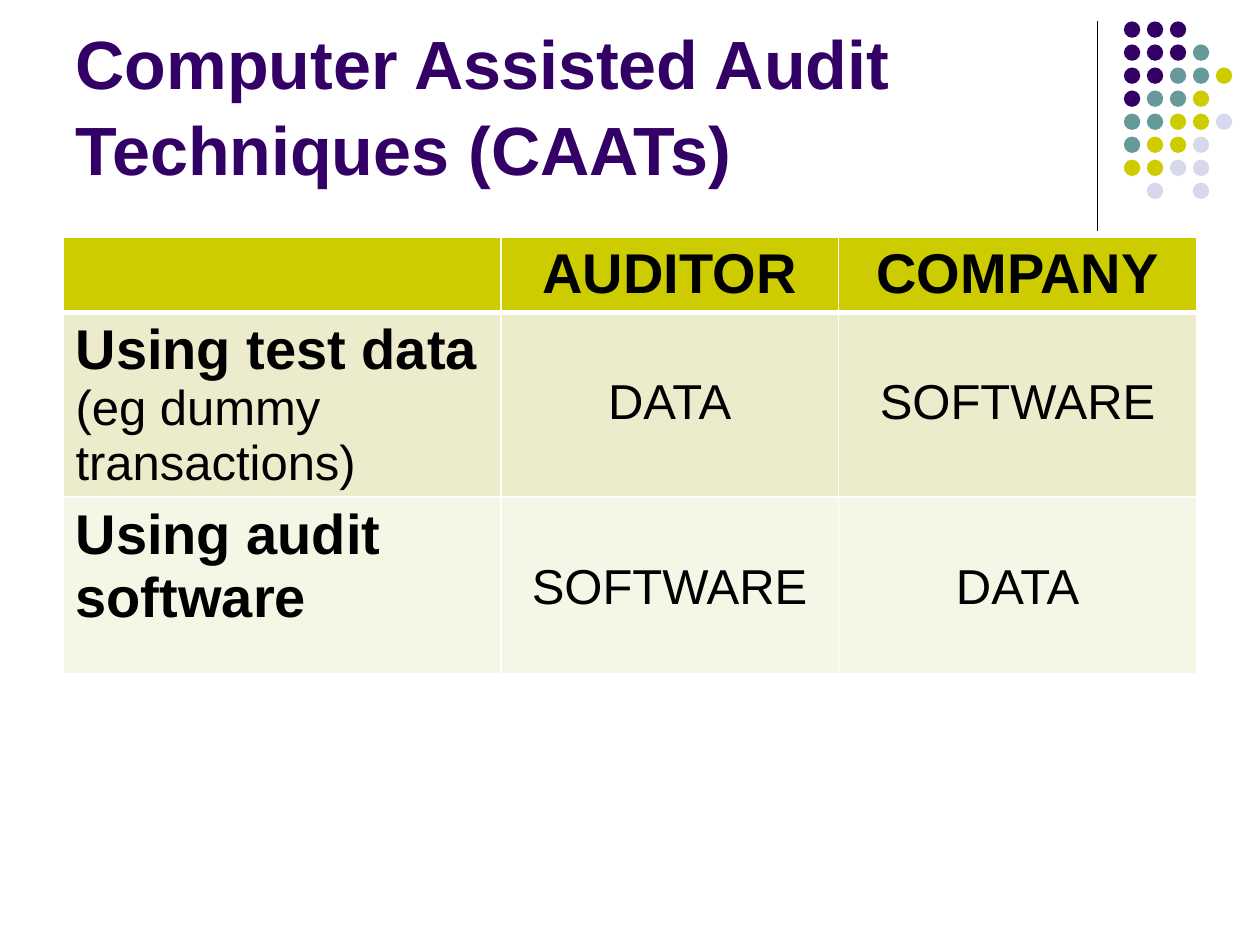
from lxml import etree
from pptx import Presentation, util as u
from pptx.dml.color import RGBColor
from pptx.enum import shapes, text
from pptx.oxml import ns

FONT = "Arial"
BLACK = RGBColor(0x00, 0x00, 0x00)
WHITE = RGBColor(0xFF, 0xFF, 0xFF)
PURPLE = RGBColor(0x33, 0x00, 0x66)
TEAL = RGBColor(0x66, 0x99, 0x99)
LIME = RGBColor(0xCC, 0xCC, 0x00)
LAVENDER = RGBColor(0xD8, 0xD8, 0xEC)
ROW_FILLS = [LIME, RGBColor(0xEC, 0xEC, 0xCC), RGBColor(0xF6, 0xF6, 0xE7)]

# One letter per dot, a blank where the grid is empty
DOT_COLORS = {"P": PURPLE, "T": TEAL, "L": LIME, "V": LAVENDER}
DOT_ROWS = ["PPP", "PPPT", "PPTTL", "PTTL", "TTLLV", "TLLV", "LLVV", " V V"]

# Each cell is a list of (text, size, bold) paragraphs
TABLE_ROWS = [
    [[], [("AUDITOR", 32, True)], [("COMPANY", 32, True)]],
    [[("Using test data", 32, True), ("(eg dummy transactions)", 28, False)],
     [("DATA", 28, False)], [("SOFTWARE", 28, False)]],
    [[("Using audit software", 32, True)],
     [("SOFTWARE", 28, False)], [("DATA", 28, False)]],
]
COLUMN_SHARES = [3.48, 2.68, 2.85]
ROW_SHARES = [0.6, 1.46, 1.4]


def write(paragraph, content, size, bold=False, color=BLACK,
          align=text.PP_ALIGN.LEFT, spacing=1.0):
    paragraph.alignment = align
    paragraph.line_spacing = spacing
    run = paragraph.add_run()
    run.text = content
    run.font.name = FONT
    run.font.size = u.Pt(size)
    run.font.bold = bold
    run.font.color.rgb = color


def add_title(slide, left, top, width, height):
    title = slide.shapes.title
    title.left, title.top, title.width, title.height = map(u.Inches, (left, top, width, height))
    frame = title.text_frame
    frame.word_wrap = True
    frame.auto_size = text.MSO_AUTO_SIZE.NONE
    frame.vertical_anchor = text.MSO_ANCHOR.BOTTOM
    write(frame.paragraphs[0], "Computer Assisted Audit Techniques (CAATs)", 39,
          bold=True, color=PURPLE, spacing=1.05)


def add_divider(slide, x, top, height):
    line = slide.shapes.add_connector(
        shapes.MSO_CONNECTOR.STRAIGHT, *map(u.Inches, (x, top, x, top + height)))
    line.line.color.rgb = BLACK
    line.line.width = u.Pt(0.75)
    etree.SubElement(line._element.spPr, ns.qn("a:effectLst"))


def add_dots(slide, left, top, width, height):
    diameter = 0.13
    column_step = (width - diameter) / (max(map(len, DOT_ROWS)) - 1)
    row_step = (height - diameter) / (len(DOT_ROWS) - 1)
    for row, keys in enumerate(DOT_ROWS):
        for column, key in enumerate(keys):
            if key not in DOT_COLORS:
                continue
            dot = slide.shapes.add_shape(
                shapes.MSO_SHAPE.OVAL, u.Inches(left + column * column_step),
                u.Inches(top + row * row_step), u.Inches(diameter), u.Inches(diameter))
            dot.shadow.inherit = False
            dot.fill.solid()
            dot.fill.fore_color.rgb = DOT_COLORS[key]
            dot.line.fill.background()


def set_borders(cell, header, below_header):
    properties = cell._tc.get_or_add_tcPr()
    thick = {"lnB": header, "lnT": below_header}
    for index, side in enumerate(("lnL", "lnR", "lnT", "lnB")):
        border = etree.Element(ns.qn("a:" + side), w=str(u.Pt(3 if thick.get(side) else 1)))
        fill = etree.SubElement(border, ns.qn("a:solidFill"))
        etree.SubElement(fill, ns.qn("a:srgbClr"), val=str(WHITE))
        properties.insert(index, border)


def fill_cell(cell, paragraphs, row, column):
    cell.fill.solid()
    cell.fill.fore_color.rgb = ROW_FILLS[row]
    set_borders(cell, header=row == 0, below_header=row == 1)
    if row and column:  # answers sit one line below the row heading
        cell.margin_top = u.Inches(0.5)
    align = text.PP_ALIGN.CENTER if column else text.PP_ALIGN.LEFT
    frame = cell.text_frame
    for index, (content, size, bold) in enumerate(paragraphs):
        paragraph = frame.add_paragraph() if index else frame.paragraphs[0]
        write(paragraph, content, size, bold=bold, align=align)


def add_comparison(slide, left, top, width, height):
    table = slide.shapes.add_table(
        len(TABLE_ROWS), len(COLUMN_SHARES),
        *map(u.Inches, (left, top, width, height))).table
    for column, share in zip(table.columns, COLUMN_SHARES):
        column.width = u.Inches(width * share / sum(COLUMN_SHARES))
    for row, share in zip(table.rows, ROW_SHARES):
        row.height = u.Inches(height * share / sum(ROW_SHARES))
    for row, cells in enumerate(TABLE_ROWS):
        for column, paragraphs in enumerate(cells):
            fill_cell(table.cell(row, column), paragraphs, row, column)


def main():
    presentation = Presentation()
    presentation.slide_width = u.Inches(10)
    presentation.slide_height = u.Inches(7.5)
    slide = presentation.slides.add_slide(presentation.slide_layouts[5])

    # Corner decoration
    add_divider(slide, 8.71, 0.17, 1.66)
    add_dots(slide, 8.92, 0.17, 0.86, 1.41)

    # Heading and table
    add_title(slide, 0.5, 0.13, 8.25, 1.42)
    add_comparison(slide, 0.5, 1.88, 9, 3.46)

    presentation.save("out.pptx")


if __name__ == "__main__":
    main()
